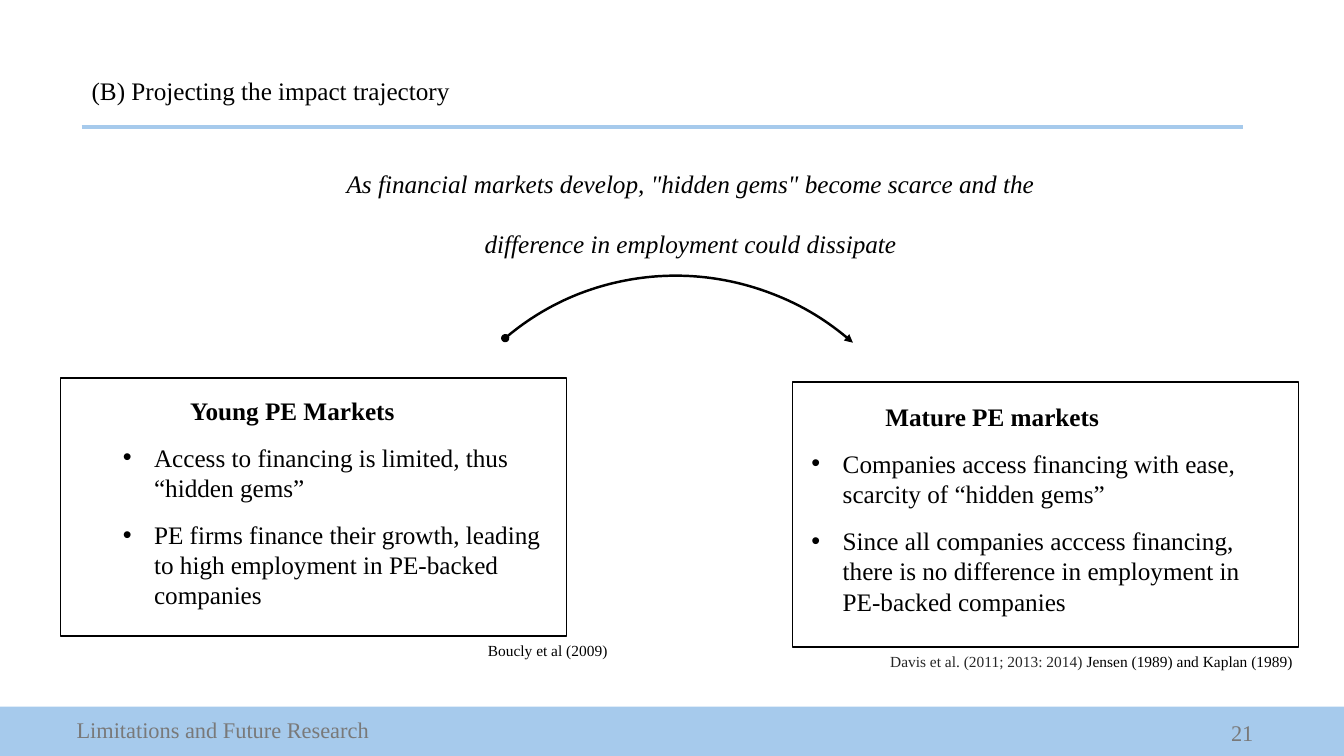
from lxml.etree import SubElement
from pptx import Presentation
from pptx.dml.color import RGBColor
from pptx.enum.shapes import MSO_CONNECTOR as Conn, MSO_SHAPE as Shape
from pptx.enum.text import MSO_ANCHOR as Anchor, PP_ALIGN as Align
from pptx.oxml.ns import qn
from pptx.util import Inches, Pt

BLACK, GREY, DARK, BLUE = "000000", "797979", "262626", "A6CAEC"


def color(code):
    return RGBColor.from_string(code)


def apply(item, form):
    for name, value in form.items():
        setattr(item, name, value)


def frame(slide, box, anchor=Anchor.TOP):
    body = slide.shapes.add_textbox(*map(Inches, box)).text_frame
    apply(body, {"word_wrap": True, "vertical_anchor": anchor})
    return body


def write(para, runs, size=18, form={}, left=0, bullet=False, **font):
    apply(para, form)
    props = para._p.get_or_add_pPr()
    hang = Inches(-0.31) if bullet else 0
    props.set("marL", str(Inches(left)))
    props.set("indent", str(hang))
    if bullet:
        SubElement(props, qn("a:buFont")).set("typeface", "Arial")
        SubElement(props, qn("a:buChar")).set("char", "•")
    for words, code in runs:
        run = para.add_run()
        run.text = words
        apply(run.font, {"name": "Times New Roman", "size": Pt(size), **font})
        run.font.color.rgb = color(code)


def draw(slide, kind, box, fill=None, line=None, width=1):
    shape = slide.shapes.add_shape(kind, *map(Inches, box))
    shape.shadow.inherit = False
    if fill:
        shape.fill.solid()
        shape.fill.fore_color.rgb = color(fill)
    else:
        shape.fill.background()
    if line:
        shape.line.color.rgb = color(line)
        shape.line.width = Pt(width)
    else:
        shape.line.fill.background()
    return shape


def header(slide, box, title):
    x, y, w, h = box
    rule = slide.shapes.add_connector(
        Conn.STRAIGHT, *map(Inches, (x, y + h, x + w, y + h)))
    rule.line.color.rgb = color(BLUE)
    rule.line.width = Pt(3)
    SubElement(rule._element.spPr, qn("a:effectLst"))
    body = frame(slide, (x, y, 7.09, 0.61))
    form = {"line_spacing": 2.0, "space_before": Pt(12), "space_after": Pt(12)}
    write(body.paragraphs[0], [(title, BLACK)], form=form)


def footer(slide, box, label, number):
    x, y, w, h = box
    draw(slide, Shape.RECTANGLE, box, BLUE)
    parts = [(label, -0.04, 0.03, 4.5, Align.CENTER),
             (number, 9.53, 0.06, 3, Align.RIGHT)]
    for words, dx, dy, wide, align in parts:
        body = frame(slide, (x + dx, y + dy, wide, 0.4), Anchor.MIDDLE)
        write(body.paragraphs[0], [(words, GREY)], 16, {"alignment": align})


def bridge(slide, box, words):
    x, y, w, h = box
    body = frame(slide, (x, y, w, 1.22))
    form = {"alignment": Align.CENTER, "line_spacing": 2.0, "space_after": Pt(12)}
    write(body.paragraphs[0], [(words, BLACK)], form=form, italic=True)
    arc = draw(slide, Shape.ARC, (x + 1.18, y + 1.4, 5.25, 5.32), None, BLACK, 1.75)
    arc.rotation = 319.6
    arc.adjustments[0] = 162
    arc.adjustments[1] = 210.875
    line = arc.line._get_or_add_ln()
    for end, kind in (("a:headEnd", "oval"), ("a:tailEnd", "triangle")):
        SubElement(line, qn(end)).set("type", kind)


def market(slide, box, inner, title, left, points, cite, runs, inset):
    x, y, w, h = box
    draw(slide, Shape.RECTANGLE, box, None, BLACK)
    dx, dy, wide, high = inner
    body = frame(slide, (x + dx, y + dy, wide, high))
    gap = {"space_before": Pt(12)}
    write(body.paragraphs[0], [(title, BLACK)],
          form={"alignment": Align.CENTER, **gap}, left=left, bold=True)
    for point in points:
        write(body.add_paragraph(), [(point, BLACK)],
              form=gap, left=1.81, bullet=True)
    note = frame(slide, (x + cite, y + h, 6.69, 0.29))
    write(note.paragraphs[0], runs, 11, gap, inset)


def main():
    deck = Presentation()
    apply(deck, {"slide_width": Inches(13.33), "slide_height": Inches(7.5)})
    slide = deck.slides.add_slide(deck.slide_layouts[6])
    footer(slide, (0, 7.01, 13.33, 0.49), "Limitations and Future Research", "21")
    header(slide, (0.81, 0.4, 11.52, 0.86), "(B) Projecting the impact trajectory")
    bridge(slide, (2.93, 1.32, 7.84, 2.1),
           'As financial markets develop, "hidden gems" become scarce and the '
           "difference in employment could dissipate")
    market(slide, (0.6, 3.75, 5.02, 2.56), (-0.98, 0.12, 5.87, 2.26),
           "Young PE Markets", 0.69,
           ["Access to financing is limited, thus “hidden gems”",
            "PE firms finance their growth, leading to high employment in "
            "PE-backed companies"],
           1.65, [("Boucly et al (2009)", BLACK)], 2.49)
    market(slide, (7.86, 3.79, 5.02, 2.63), (-1.41, 0.14, 6.28, 2.26),
           "Mature PE markets", 0.5,
           ["Companies access financing with ease, scarcity of “hidden gems”",
            "Since all companies acccess financing, there is no difference in "
            "employment in PE-backed companies"],
           -0.63, [("Davis et al. (2011; 2013: 2014) ", DARK),
                   ("Jensen (1989) and Kaplan (1989)", BLACK)], 1.5)
    deck.save("out.pptx")


if __name__ == "__main__":
    main()
